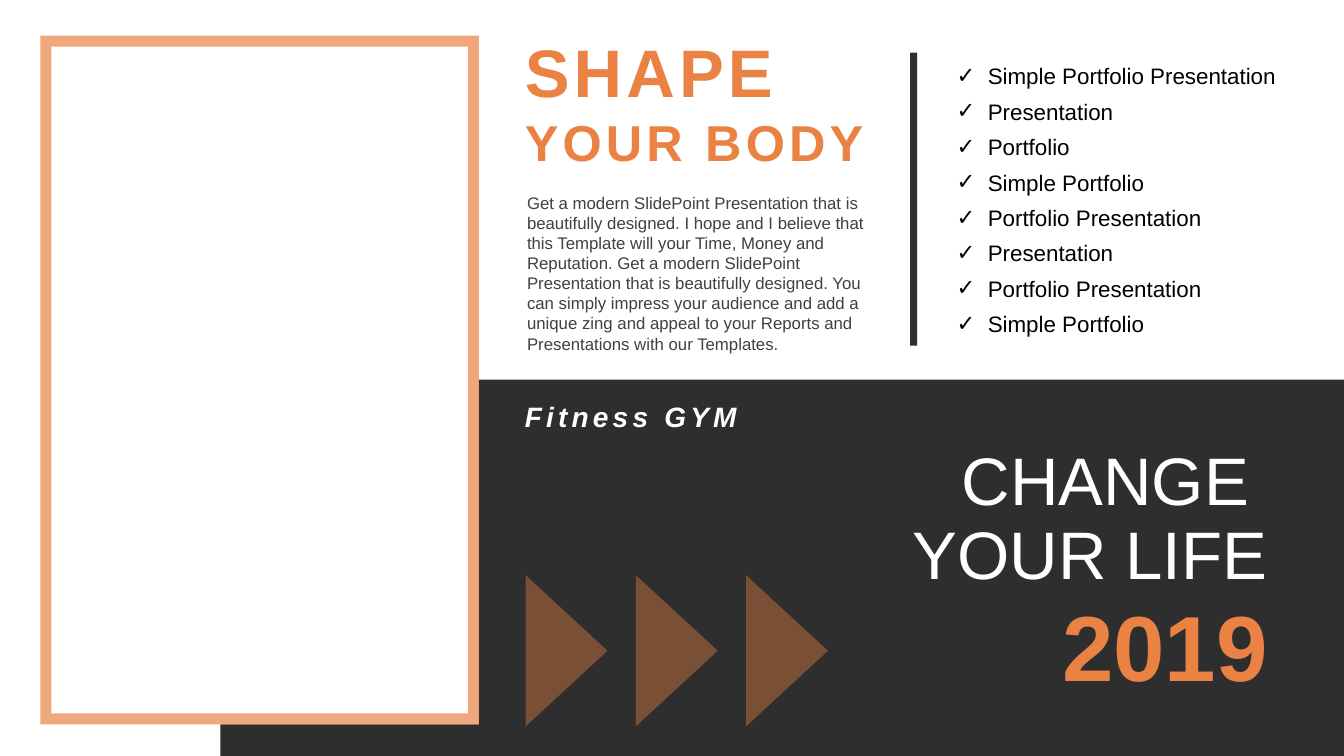
from dataclasses import dataclass
from typing import Any

from lxml.etree import SubElement
from pptx import Presentation
from pptx.dml.color import RGBColor
from pptx.enum.shapes import MSO_SHAPE
from pptx.enum.text import MSO_ANCHOR, MSO_AUTO_SIZE, PP_ALIGN
from pptx.oxml.ns import qn
from pptx.util import Emu, Inches, Pt

COLUMNS, ROWS = 160, 90
CELL = Inches(13.333) / COLUMNS
FONT = "Arial"
COLORS = {
    "dark": "2E2E2E",
    "orange": "EA8244",
    "white": "FFFFFF",
    "gray": "404040",
    "black": "000000",
}


@dataclass(frozen=True)
class Area:
    column: float
    row: float
    columns: float
    rows: float

    def emu(self) -> list[Emu]:
        return [Emu(round(length * CELL)) for length in
                (self.column, self.row, self.columns, self.rows)]


@dataclass(frozen=True)
class Figure:
    area: Area
    color: str
    kind: MSO_SHAPE = MSO_SHAPE.RECTANGLE
    opacity: int = 100
    rotation: int = 0
    thickness: float | None = None


@dataclass(frozen=True)
class Label:
    area: Area
    text: str
    size: int
    color: str
    align: PP_ALIGN = PP_ALIGN.LEFT
    bold: bool = False
    italic: bool = False
    spacing: int = 0
    wrap: bool = True
    middle: bool = False
    side_inset: float = 0.1
    bullet: str = ""


TEXT_LEFT = 61.3
PANEL = [
    Figure(Area(57, 45.2, 103, 44.8), "dark"),
    Figure(Area(26.25, 86.25, 30.75, 3.75), "dark"),
]
PHOTO_FRAME = Figure(Area(4.8, 4.25, 52.2, 82), "orange", MSO_SHAPE.FRAME,
                     opacity=70, thickness=0.025)
DIVIDER = Figure(Area(108.35, 6.25, 0.85, 34.9), "dark")
ARROWS = [
    Figure(Area(58.45 + 13.12 * index, 72.6, 18, 9.75), "orange",
           MSO_SHAPE.ISOSCELES_TRIANGLE, opacity=40, rotation=90)
    for index in range(3)
]
SLOGAN = [
    Label(Area(99.8, 60.45, 52.3, 10.9), "YOUR LIFE", 48, "white", PP_ALIGN.RIGHT),
    Label(Area(99.8, 51.6, 52.3, 10.9), "CHANGE ", 48, "white", PP_ALIGN.RIGHT),
    Label(Area(99.8, 69.5, 52.3, 14.5), "2019", 66, "orange", PP_ALIGN.RIGHT, bold=True),
]
BODY = (
    "Get a modern SlidePoint Presentation that is beautifully designed. "
    "I hope and I believe that this Template will your Time, Money and Reputation. "
    "Get a modern SlidePoint Presentation that is beautifully designed. "
    "You can simply impress your audience and add a unique zing and appeal "
    "to your Reports and Presentations with our Templates."
)
HEADINGS = [
    Label(Area(TEXT_LEFT, 4.2, 43.7, 8.4), "SHAPE", 48, "orange", PP_ALIGN.JUSTIFY,
          bold=True, spacing=3, middle=True),
    Label(Area(TEXT_LEFT, 12.6, 43.7, 8.5), "YOUR BODY", 36, "orange", PP_ALIGN.JUSTIFY,
          bold=True, spacing=3, wrap=False),
    Label(Area(TEXT_LEFT, 22.3, 45.7, 20.6), BODY, 12, "gray", side_inset=0.12),
    Label(Area(TEXT_LEFT, 46.8, 35.65, 5.4), "Fitness GYM", 20, "white",
          bold=True, italic=True, spacing=3, middle=True),
]
FEATURES = [
    "Simple Portfolio Presentation",
    "Presentation",
    "Portfolio",
    "Simple Portfolio",
    "Portfolio Presentation",
    "Presentation",
    "Portfolio Presentation",
    "Simple Portfolio",
]
CHECKLIST = [
    Label(Area(112.7, 7.45 + 4.22 * index, 43.1, 3.85), feature, 16, "black", bullet="✓")
    for index, feature in enumerate(FEATURES)
]


def rgb(name: str) -> RGBColor:
    return RGBColor.from_string(COLORS[name])


def draw_figure(shapes: Any, figure: Figure) -> None:
    shape = shapes.add_shape(figure.kind, *figure.area.emu())
    shape.shadow.inherit = False
    shape.rotation = figure.rotation
    shape.fill.solid()
    shape.fill.fore_color.rgb = rgb(figure.color)
    shape.line.fill.background()
    if figure.thickness is not None:
        shape.adjustments[0] = figure.thickness
    if figure.opacity < 100:
        color = shape._element.spPr.find(qn("a:solidFill")).find(qn("a:srgbClr"))
        SubElement(color, qn("a:alpha")).set("val", str(figure.opacity * 1000))


def add_bullet(para: Any, mark: str) -> None:
    para.line_spacing = 0.8
    properties = para._p.get_or_add_pPr()
    properties.set("marL", str(Inches(0.31)))
    properties.set("indent", str(Inches(-0.31)))
    SubElement(properties, qn("a:buFont")).set("typeface", FONT)
    SubElement(properties, qn("a:buChar")).set("char", mark)


def draw_label(shapes: Any, label: Label) -> None:
    box = shapes.add_textbox(*label.area.emu())
    frame = box.text_frame
    frame.word_wrap = label.wrap
    frame.margin_left = frame.margin_right = Inches(label.side_inset)
    if label.middle:
        frame.vertical_anchor = MSO_ANCHOR.MIDDLE
    else:
        frame.auto_size = MSO_AUTO_SIZE.SHAPE_TO_FIT_TEXT
    para = frame.paragraphs[0]
    para.alignment = label.align
    if label.bullet:
        add_bullet(para, label.bullet)
    span = para.add_run()
    span.text = label.text
    span.font.name = FONT
    span.font.size = Pt(label.size)
    span.font.bold = label.bold
    span.font.italic = label.italic
    span.font.color.rgb = rgb(label.color)
    if label.spacing:
        span._r.get_or_add_rPr().set("spc", str(label.spacing * 100))


def main() -> None:
    deck = Presentation()
    deck.slide_width = Emu(round(COLUMNS * CELL))
    deck.slide_height = Emu(round(ROWS * CELL))
    page = deck.slides.add_slide(deck.slide_layouts[6])

    panel = page.shapes.add_group_shape()
    for figure in PANEL:
        draw_figure(panel.shapes, figure)
    draw_figure(page.shapes, PHOTO_FRAME)
    slogan = page.shapes.add_group_shape()
    for label in SLOGAN:
        draw_label(slogan.shapes, label)
    draw_figure(page.shapes, DIVIDER)
    for label in HEADINGS + CHECKLIST:
        draw_label(page.shapes, label)
    arrows = page.shapes.add_group_shape()
    for figure in ARROWS:
        draw_figure(arrows.shapes, figure)

    deck.save("out.pptx")


if __name__ == "__main__":
    main()
